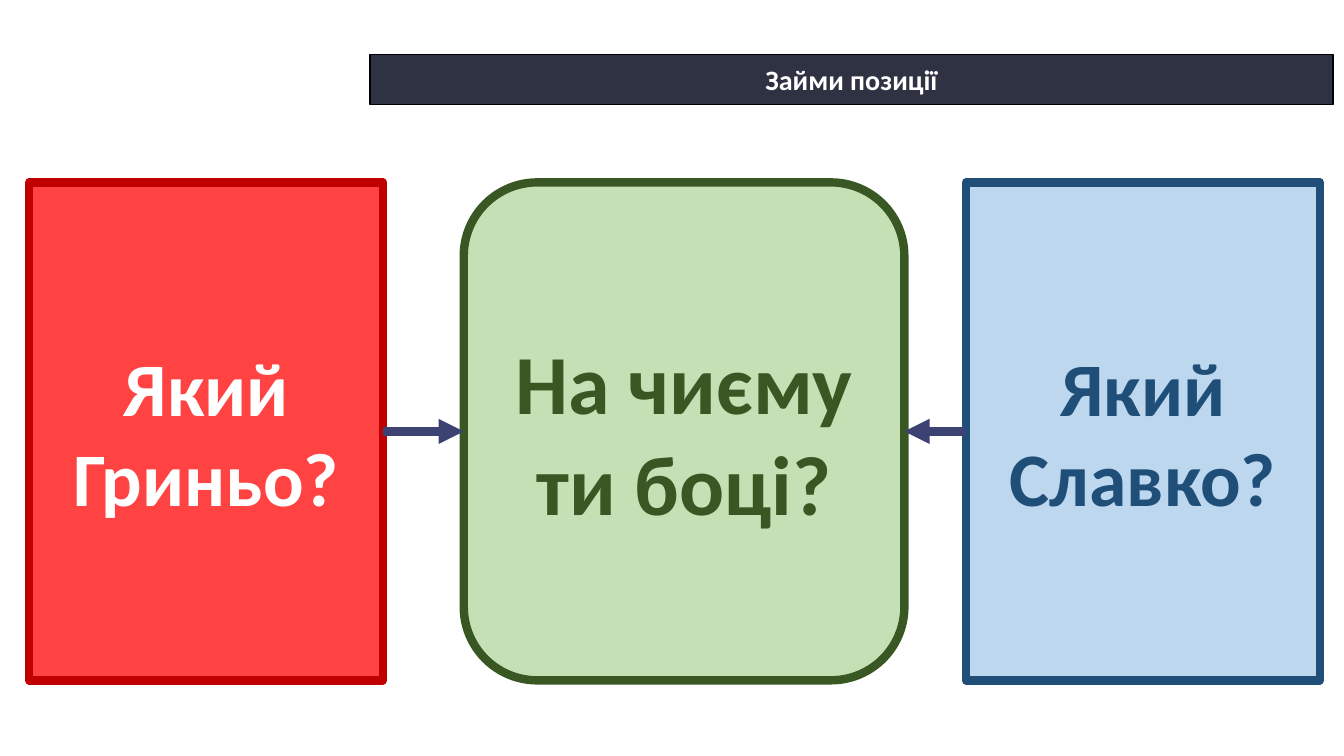
"""Build a slide that sets two characters on either side of a question."""
from lxml import etree
from pptx import Presentation
from pptx.dml.color import RGBColor
from pptx.enum.shapes import MSO_CONNECTOR, MSO_SHAPE
from pptx.enum.text import MSO_ANCHOR, PP_ALIGN
from pptx.oxml.ns import qn
from pptx.util import Inches, Pt

RECTANGLE = MSO_SHAPE.RECTANGLE
ROUNDED = MSO_SHAPE.ROUNDED_RECTANGLE
STRAIGHT = MSO_CONNECTOR.STRAIGHT
MIDDLE = MSO_ANCHOR.MIDDLE
CENTER = PP_ALIGN.CENTER
LEFT_SIDE, RIGHT_SIDE = 1, 3

SLIDE_WIDTH, SLIDE_HEIGHT = 13.33, 7.5
CARD_TOP, CARD_HEIGHT, SIDE_WIDTH = 1.81, 4.94, 3.51

THEME = {
    "font": "Calibri",
    "arrow": "3C4272",
    "thick": 6,
    "title": {"fill": "2F3242", "line": "000000", "text": "FFFFFF", "size": 20, "weight": 1},
    "question": {"fill": "C5E0B4", "line": "385723", "text": "385723", "size": 60, "weight": 6},
    "red": {"fill": "FF4343", "line": "C00000", "text": "FFFFFF", "size": 54, "weight": 6},
    "blue": {"fill": "BDD7EE", "line": "1F4E79", "text": "1F4E79", "size": 54, "weight": 6},
}

BOXES = {
    "title": ("Займи позиції", RECTANGLE, (3.67, 0.54, 9.55, 0.5)),
    "question": ("На чиєму ти боці?", ROUNDED, (4.6, CARD_TOP, 4.37, CARD_HEIGHT)),
    "red": ("Який Гриньо?", RECTANGLE, (0.29, CARD_TOP, SIDE_WIDTH, CARD_HEIGHT)),
    "blue": ("Який Славко?", RECTANGLE, (9.58, CARD_TOP, SIDE_WIDTH, CARD_HEIGHT)),
}

ARROWS = [("red", RIGHT_SIDE, "question", LEFT_SIDE), ("blue", LEFT_SIDE, "question", RIGHT_SIDE)]


def add_box(slide, style, text, outline, place):
    """Add one filled shape with centred bold text."""
    shape = slide.shapes.add_shape(outline, *map(Inches, place))
    shape.shadow.inherit = False
    shape.fill.solid()
    shape.fill.fore_color.rgb = RGBColor.from_string(style["fill"])
    shape.line.color.rgb = RGBColor.from_string(style["line"])
    shape.line.width = Pt(style["weight"])
    frame = shape.text_frame
    frame.word_wrap = True
    frame.vertical_anchor = MIDDLE
    paragraph = frame.paragraphs[0]
    paragraph.text = text
    paragraph.alignment = CENTER
    font_format = {"name": THEME["font"], "size": Pt(style["size"]), "bold": True}
    for name, value in font_format.items():
        setattr(paragraph.font, name, value)
    paragraph.font.color.rgb = RGBColor.from_string(style["text"])
    return shape


def add_arrow(slide, start, start_side, end, end_side):
    """Join two shapes with an arrow pointing at the second."""
    connector = slide.shapes.add_connector(STRAIGHT, 0, 0, 0, 0)
    connector.begin_connect(start, start_side)
    connector.end_connect(end, end_side)
    connector.line.color.rgb = RGBColor.from_string(THEME["arrow"])
    connector.line.width = Pt(THEME["thick"])
    etree.SubElement(connector.line._get_or_add_ln(), qn("a:tailEnd"), type="triangle")
    etree.SubElement(connector._element.spPr, qn("a:effectLst"))


def main():
    """Build and save the slide."""
    presentation = Presentation()
    presentation.slide_width = Inches(SLIDE_WIDTH)
    presentation.slide_height = Inches(SLIDE_HEIGHT)
    slide = presentation.slides.add_slide(presentation.slide_layouts[6])
    shapes = {name: add_box(slide, THEME[name], *box) for name, box in BOXES.items()}
    for start, start_side, end, end_side in ARROWS:
        add_arrow(slide, shapes[start], start_side, shapes[end], end_side)
    presentation.save("out.pptx")


if __name__ == "__main__":
    main()
